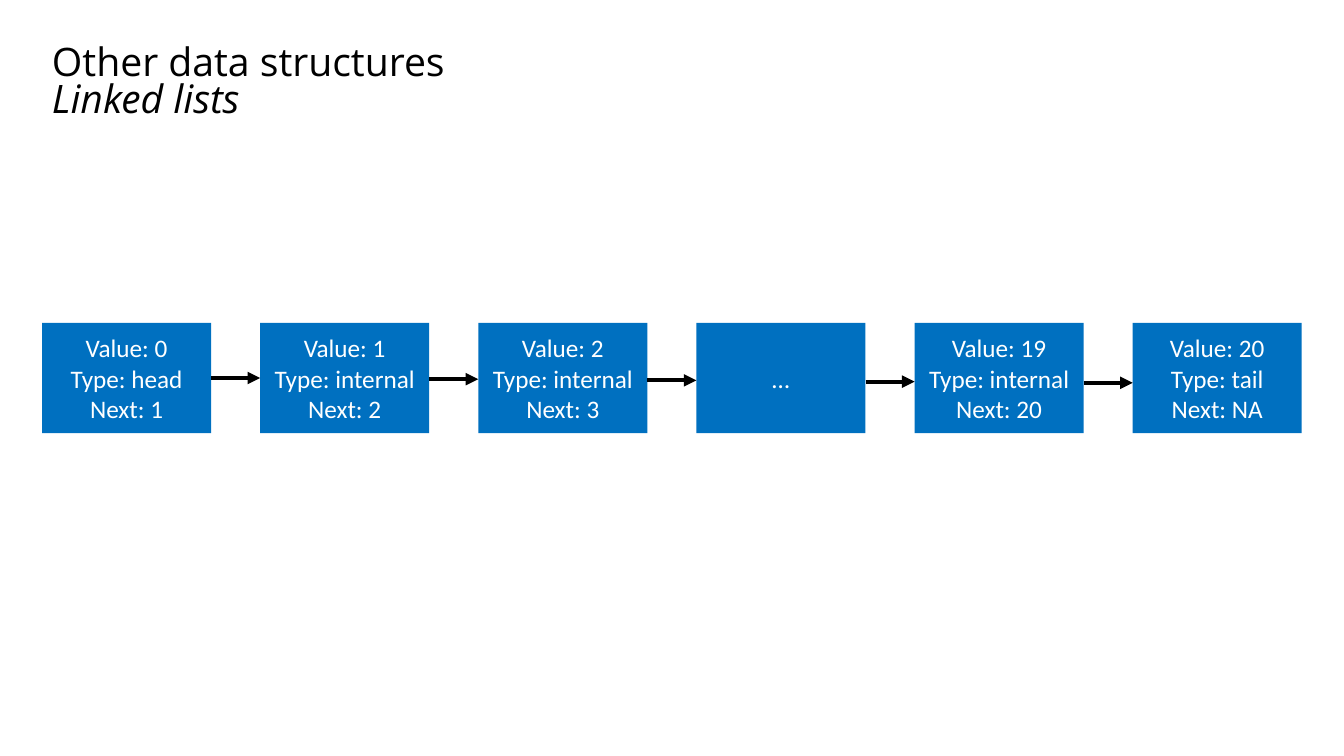
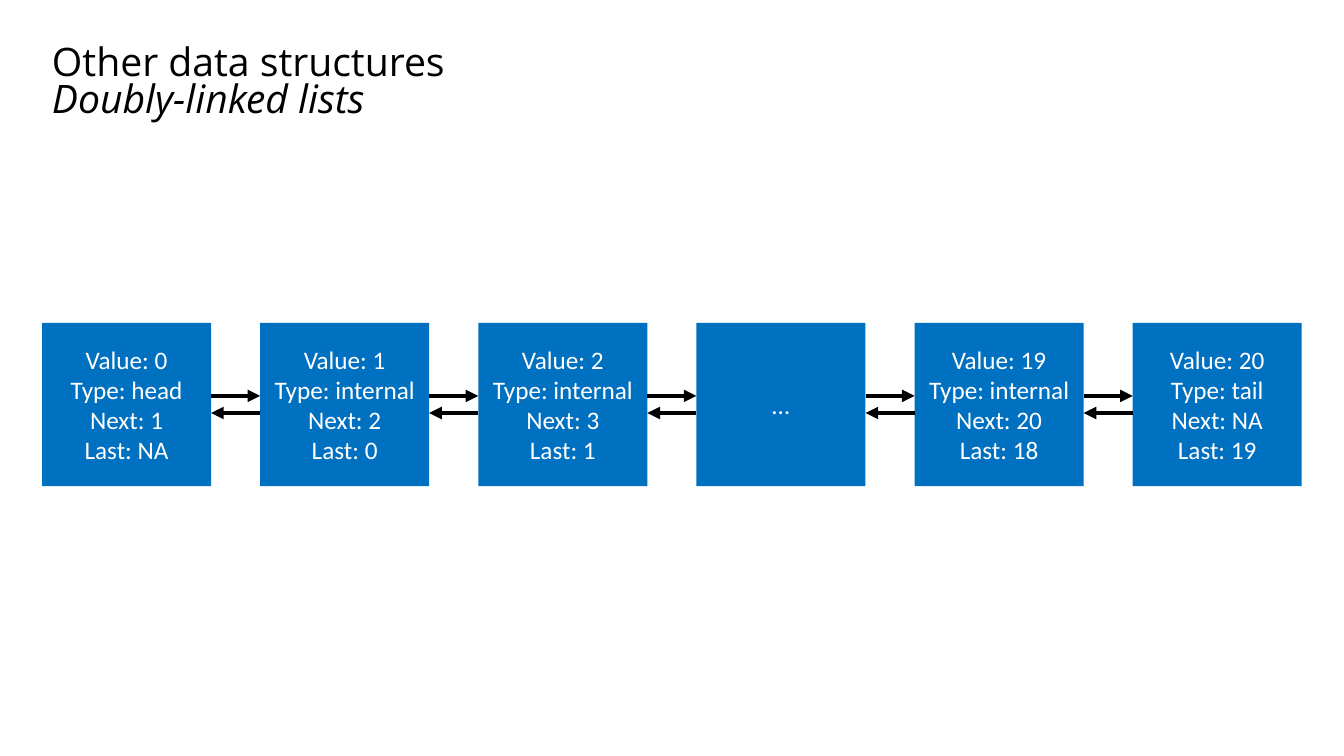
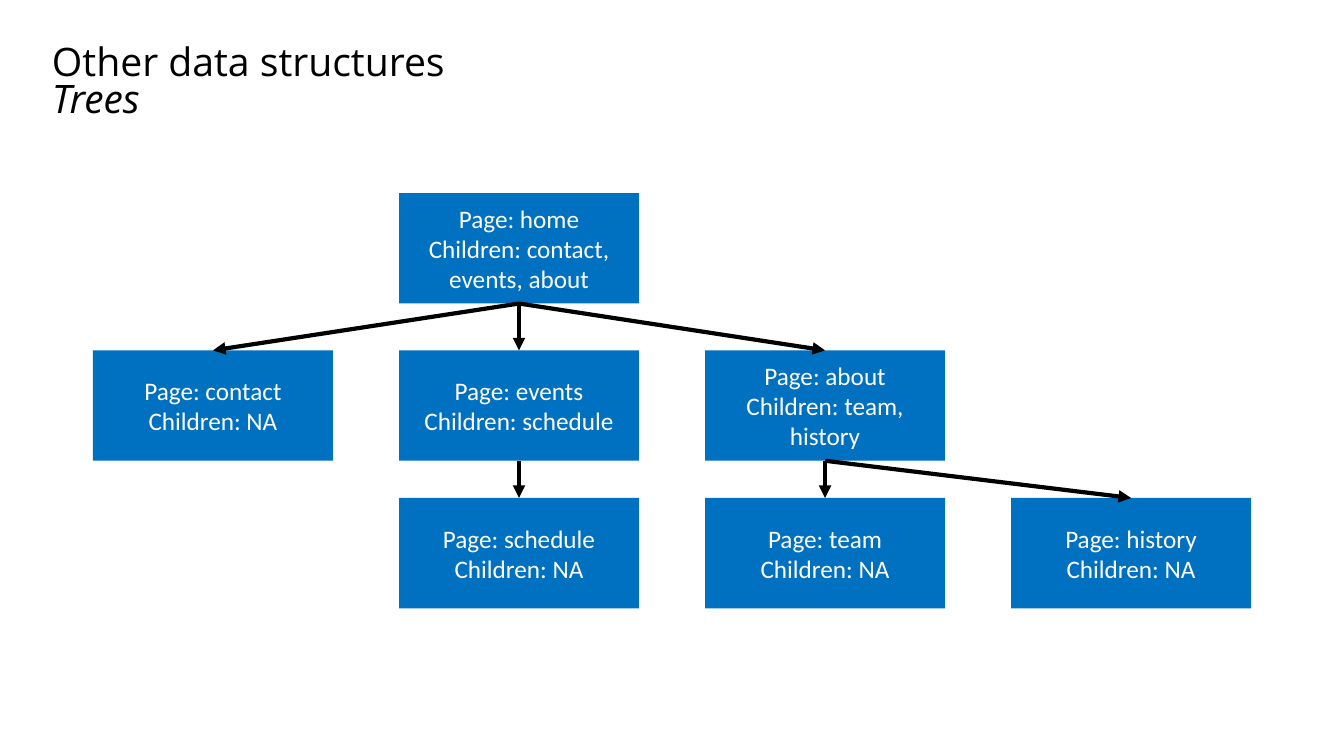
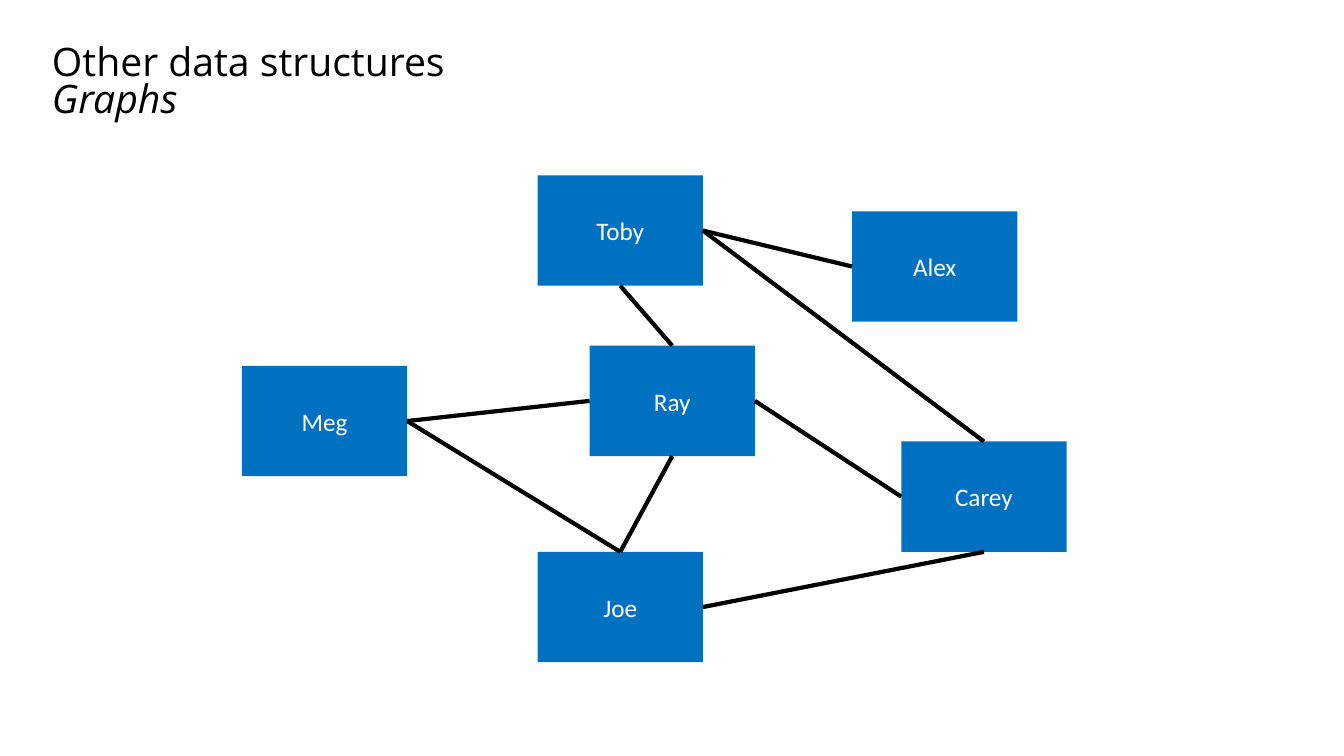
from itertools import pairwise

from lxml.etree import SubElement
from pptx import Presentation
from pptx.dml.color import RGBColor
from pptx.enum.shapes import MSO_CONNECTOR, MSO_SHAPE
from pptx.enum.text import MSO_ANCHOR, PP_ALIGN
from pptx.oxml.ns import qn
from pptx.util import Inches, Pt

# Connection sites of a rectangle: number, share of its width, share of its height
SIDES = {
    "top": (0, 0.5, 0),
    "left": (1, 0, 0.5),
    "bottom": (2, 0.5, 1),
    "right": (3, 1, 0.5),
}
NODE_HEIGHT = 14.6


def colour(code):
    return RGBColor.from_string(code)


def write(para, text, font="Calibri", size=18, ink="FFFFFF", italic=False):
    span = para.add_run()
    span.text = text
    span.font.name = font
    span.font.size = Pt(size)
    span.font.color.rgb = colour(ink)
    span.font.italic = italic


def site(node, side):
    number, across, down = SIDES[side]
    return round(node.left + across * node.width), round(node.top + down * node.height)


class Deck:
    """Shared style and current slide; lengths are percent of the slide's size."""

    fill = "0070C0"
    ink = "000000"
    title_font = "Open Sans"
    heading = "Other data structures"

    def __init__(self):
        self.deck = Presentation()
        self.deck.slide_width = Inches(13.333)
        self.deck.slide_height = Inches(7.5)
        self.page = None

    def across(self, share):
        return round(self.deck.slide_width * share / 100)

    def down(self, share):
        return round(self.deck.slide_height * share / 100)

    def area(self, left, top, width, height):
        return self.across(left), self.down(top), self.across(width), self.down(height)

    def new_page(self, topic):
        self.page = self.deck.slides.add_slide(self.deck.slide_layouts[6])
        box = self.page.shapes.add_textbox(*self.area(3.13, 4.44, 93.75, 13.33))
        frame = box.text_frame
        frame.word_wrap = True
        frame.vertical_anchor = MSO_ANCHOR.MIDDLE
        para = frame.paragraphs[0]
        para.line_spacing = 0.79
        style = {"font": self.title_font, "size": 28, "ink": self.ink}
        write(para, self.heading, **style)
        para.add_line_break()
        write(para, topic, italic=True, **style)

    def node(self, lines, left, top, width, height=NODE_HEIGHT):
        box = self.page.shapes.add_shape(
            MSO_SHAPE.RECTANGLE, *self.area(left, top, width, height))
        box.shadow.inherit = False
        box.fill.solid()
        box.fill.fore_color.rgb = colour(self.fill)
        box.line.fill.background()
        frame = box.text_frame
        frame.word_wrap = True
        frame.vertical_anchor = MSO_ANCHOR.MIDDLE
        for index, line in enumerate(lines):
            para = frame.add_paragraph() if index else frame.paragraphs[0]
            para.alignment = PP_ALIGN.CENTER
            write(para, line)
        return box

    def link(self, start, start_side, end, end_side, arrow=True, shift=0):
        """Join two nodes; a shifted line runs beside the connection sites."""
        line = self.page.shapes.add_connector(
            MSO_CONNECTOR.STRAIGHT, *site(start, start_side), *site(end, end_side))
        if shift:
            line.top += self.down(shift)
        else:
            line.begin_connect(start, SIDES[start_side][0])
            line.end_connect(end, SIDES[end_side][0])
        line.line.color.rgb = colour(self.ink)
        line.line.width = Pt(3)
        if arrow:
            SubElement(line.line._get_or_add_ln(), qn("a:tailEnd"), type="triangle")
        SubElement(line._element.spPr, qn("a:effectLst"))

    def chain(self, items, height):
        """Place nodes in six equal columns."""
        return [self.node(lines, 3.13 + 16.23 * column, 42.7, 12.58, height)
                for column, lines in enumerate(items)]


def records(labels, rows):
    return [[f"{label}: {value}" for label, value in zip(labels, row)] if row else ["…"]
            for row in rows]


show = Deck()

# Linked lists: each arrow sits slightly lower than the one before
show.new_page("Linked lists")
nodes = show.chain(records(("Value", "Type", "Next"), [
    (0, "head", 1), (1, "internal", 2), (2, "internal", 3), None,
    (19, "internal", 20), (20, "tail", "NA"),
]), NODE_HEIGHT)
for step, (node, following) in enumerate(pairwise(nodes)):
    show.link(node, "right", following, "left", shift=0.16 * step)

# Doubly-linked lists: a pair of opposite arrows in each gap
show.new_page("Doubly-linked lists")
nodes = show.chain(records(("Value", "Type", "Next", "Last"), [
    (0, "head", 1, "NA"), (1, "internal", 2, 0), (2, "internal", 3, 1), None,
    (19, "internal", 20, 18), (20, "tail", "NA", 19),
]), 21.6)
for node, following in pairwise(nodes):
    show.link(node, "right", following, "left", shift=-1.13)
    show.link(following, "left", node, "right", shift=1.13)

# Trees: name, column, row and children of each web page
show.new_page("Trees")
row_tops = (25.55, 46.35, 65.87)
tree = {
    "home": (1, 0, ("contact", "events", "about")),
    "contact": (0, 1, ()),
    "events": (1, 1, ("schedule",)),
    "about": (2, 1, ("team", "history")),
    "schedule": (1, 2, ()),
    "team": (2, 2, ()),
    "history": (3, 2, ()),
}
nodes = {
    name: show.node([f"Page: {name}", f"Children: {', '.join(children) or 'NA'}"],
                    6.92 + 22.77 * column, row_tops[row], 17.86)
    for name, (column, row, children) in tree.items()
}
for name, (column, row, children) in tree.items():
    for child in children:
        show.link(nodes[name], "bottom", nodes[child], "top")

# Graphs: people and the plain lines between them
show.new_page("Graphs")
people = {
    "Ray": (43.87, 45.73),
    "Alex": (63.4, 27.95),
    "Carey": (67.06, 58.4),
    "Joe": (40, 73),
    "Meg": (18, 48.4),
    "Toby": (40, 23.2),
}
nodes = {name: show.node([name], left, top, 12.3)
         for name, (left, top) in people.items()}
for start, start_side, end, end_side in (
    ("Ray", "top", "Toby", "bottom"),
    ("Ray", "right", "Carey", "left"),
    ("Alex", "left", "Toby", "right"),
    ("Carey", "bottom", "Joe", "right"),
    ("Carey", "top", "Toby", "right"),
    ("Ray", "left", "Meg", "right"),
    ("Joe", "top", "Meg", "right"),
    ("Joe", "top", "Ray", "bottom"),
):
    show.link(nodes[start], start_side, nodes[end], end_side, arrow=False)

show.deck.save("out.pptx")
